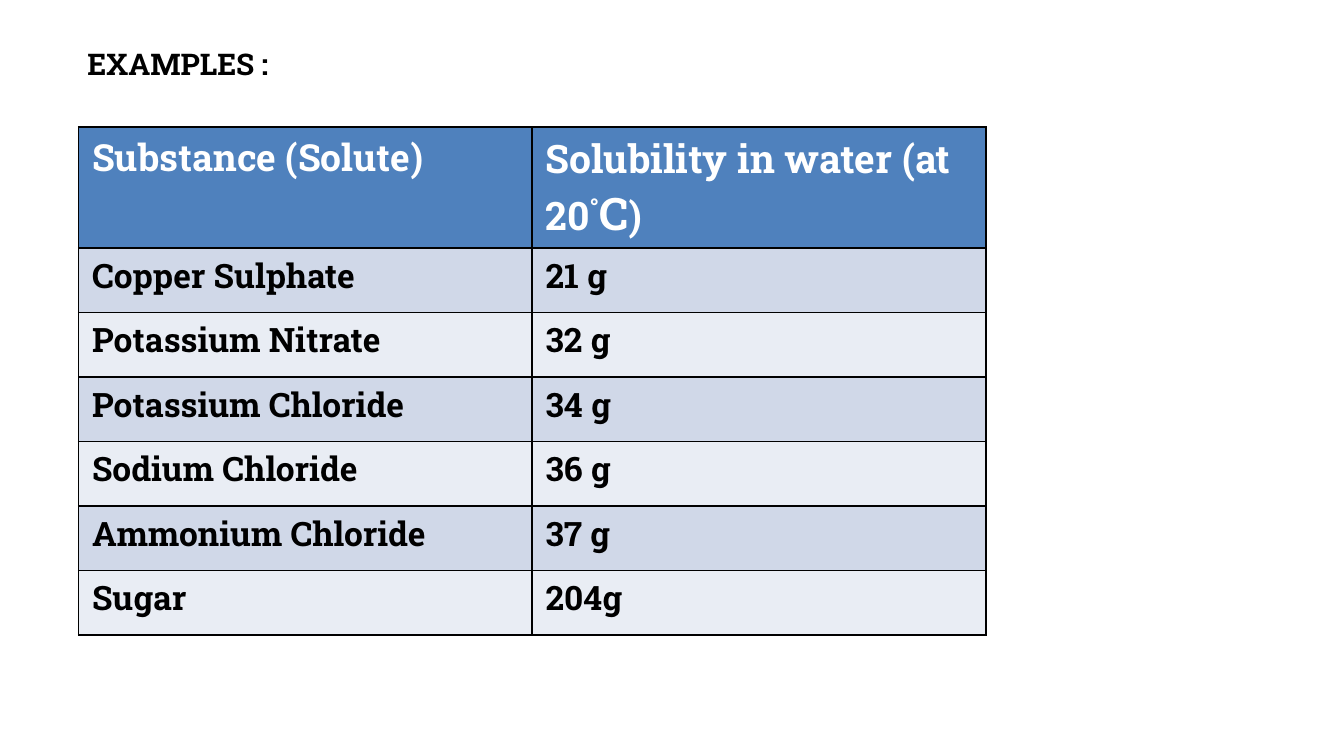
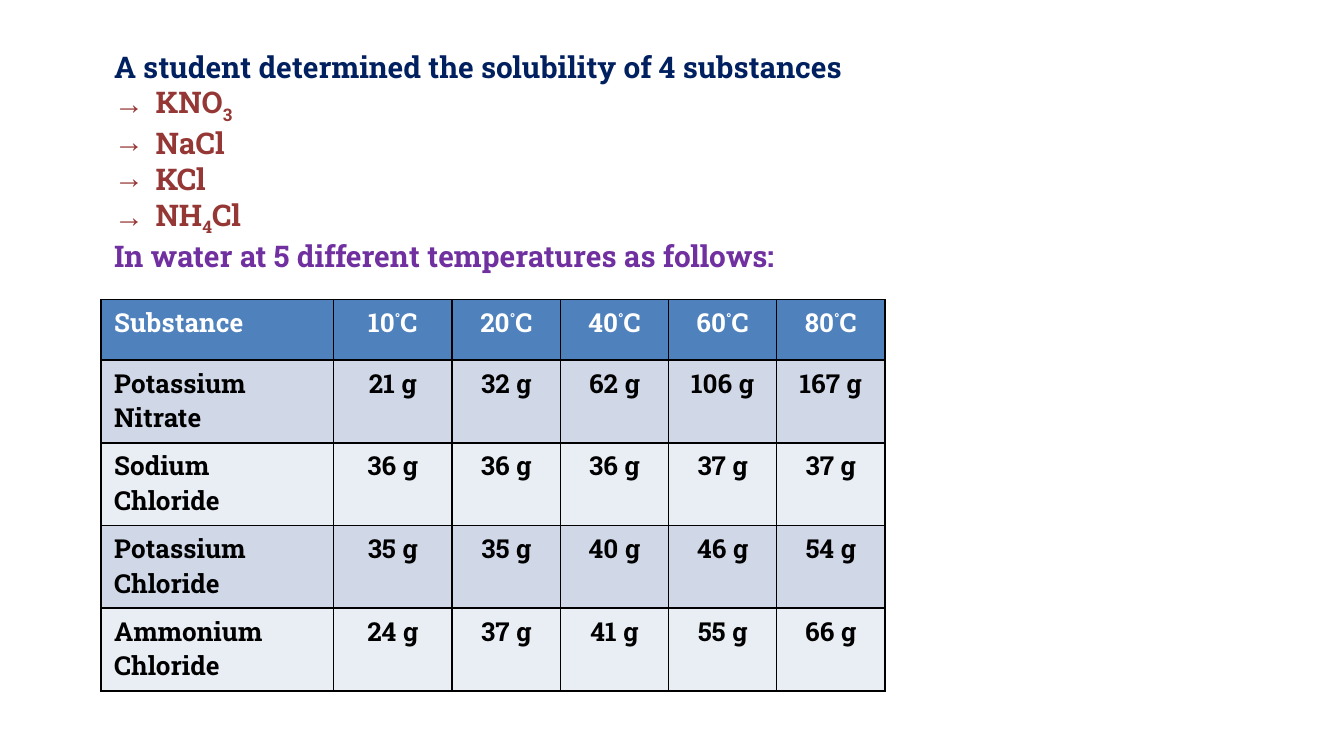
from dataclasses import dataclass
from typing import Optional, Sequence, Union

from lxml.etree import SubElement
from pptx import Presentation
from pptx.dml.color import RGBColor
from pptx.enum.text import MSO_ANCHOR, MSO_AUTO_SIZE, PP_ALIGN
from pptx.oxml.ns import qn
from pptx.util import Emu, Pt

EMU_PER_PX = 4572
TITLE_ONLY, BLANK = 5, 6


@dataclass(frozen=True)
class Theme:
    """Fonts, colours and type sizes shared by the slides."""
    font: str = "Roboto Slab"
    bullet_font: str = "Arial"
    black: str = "000000"
    white: str = "FFFFFF"
    header: str = "4F81BD"
    bands: tuple[str, str] = ("D0D8E8", "E9EDF4")
    navy: str = "002060"
    maroon: str = "953735"
    purple: str = "7030A0"
    heading_size: int = 16
    border_width: int = 1


THEME = Theme()


@dataclass(frozen=True)
class Run:
    """A piece of text with its own size or baseline shift in percent."""
    text: str
    size: Optional[int] = None
    baseline: int = 0


Text = Union[str, Sequence[Run]]


@dataclass(frozen=True)
class Line:
    """One paragraph of the introduction."""
    text: Text
    color: str
    bullet: Optional[str] = None


@dataclass(frozen=True)
class TableSpec:
    """Place, grid, type sizes and content of a table."""
    left: int
    top: int
    columns: Sequence[int]
    header_height: int
    row_height: int
    header: Sequence[Text]
    rows: Sequence[Sequence[str]]
    header_size: int
    body_size: int
    value_align: PP_ALIGN = PP_ALIGN.LEFT


def px(length: int) -> Emu:
    """Turn px into EMU."""
    return Emu(length * EMU_PER_PX)


def celsius(degrees: int) -> list[Run]:
    """Return a temperature with a raised degree sign."""
    return [Run(str(degrees)), Run("°", baseline=30), Run("C")]


def add_bullet(paragraph, character: str, indent: int) -> None:
    """Give a paragraph a hanging bullet."""
    properties = paragraph._p.get_or_add_pPr()
    properties.set("marL", str(px(indent)))
    properties.set("indent", str(px(-indent)))
    SubElement(properties, qn("a:buFont")).set("typeface", THEME.bullet_font)
    SubElement(properties, qn("a:buChar")).set("char", character)


def write_text(paragraph, text: Text, *, size: int, color: str,
               align: PP_ALIGN = PP_ALIGN.LEFT,
               bullet: Optional[str] = None) -> None:
    """Fill a paragraph with bold formatted runs."""
    if bullet:
        add_bullet(paragraph, bullet, 62)
    paragraph.alignment = align
    for piece in [Run(text)] if isinstance(text, str) else text:
        run = paragraph.add_run()
        run.text = piece.text
        run.font.name = THEME.font
        run.font.size = Pt(piece.size or size)
        run.font.bold = True
        run.font.color.rgb = RGBColor.from_string(color)
        if piece.baseline:
            run._r.get_or_add_rPr().set("baseline", str(piece.baseline * 1000))


def add_borders(cell) -> None:
    """Draw a solid line on each side of a cell."""
    properties = cell._tc.get_or_add_tcPr()
    for side in ("lnL", "lnR", "lnT", "lnB"):
        line = SubElement(properties, qn(f"a:{side}"))
        line.set("w", str(Pt(THEME.border_width)))
        fill = SubElement(line, qn("a:solidFill"))
        SubElement(fill, qn("a:srgbClr")).set("val", THEME.black)


def format_cell(cell, fill: str) -> None:
    """Set margins, borders and fill of a cell."""
    cell.margin_left = cell.margin_right = px(20)
    cell.margin_top = cell.margin_bottom = px(8)
    add_borders(cell)
    cell.fill.solid()
    cell.fill.fore_color.rgb = RGBColor.from_string(fill)


def add_table(slide, spec: TableSpec) -> None:
    """Draw a table with a header and two alternating row fills."""
    content = [spec.header, *spec.rows]
    heights = [spec.header_height] + [spec.row_height] * len(spec.rows)
    table = slide.shapes.add_table(
        len(content), len(spec.columns), px(spec.left), px(spec.top),
        px(sum(spec.columns)), px(sum(heights))).table
    for column, width in zip(table.columns, spec.columns):
        column.width = px(width)
    for row_index, (texts, height) in enumerate(zip(content, heights)):
        is_header = row_index == 0
        table.rows[row_index].height = px(height)
        fill = THEME.header if is_header else THEME.bands[(row_index - 1) % 2]
        for column_index, text in enumerate(texts):
            cell = table.cell(row_index, column_index)
            format_cell(cell, fill)
            write_text(cell.text_frame.paragraphs[0], text,
                       size=spec.header_size if is_header else spec.body_size,
                       color=THEME.white if is_header else THEME.black,
                       align=spec.value_align if column_index else PP_ALIGN.LEFT)


def add_title(slide, text: str, left: int, top: int, width: int, height: int) -> None:
    """Move the title placeholder and write the title."""
    title = slide.shapes.title
    title.left, title.top, title.width, title.height = map(px, (left, top, width, height))
    title.text_frame.vertical_anchor = MSO_ANCHOR.TOP
    title.text_frame.auto_size = MSO_AUTO_SIZE.SHAPE_TO_FIT_TEXT
    write_text(title.text_frame.paragraphs[0], text,
               size=THEME.heading_size, color=THEME.black)


def add_lines(slide, lines: Sequence[Line], left: int, top: int,
              width: int, height: int) -> None:
    """Write paragraphs in one text box."""
    frame = slide.shapes.add_textbox(*map(px, (left, top, width, height))).text_frame
    frame.word_wrap = True
    frame.auto_size = MSO_AUTO_SIZE.SHAPE_TO_FIT_TEXT
    for index, line in enumerate(lines):
        paragraph = frame.add_paragraph() if index else frame.paragraphs[0]
        write_text(paragraph, line.text, size=THEME.heading_size,
                   color=line.color, bullet=line.bullet)


SOLUBILITY = TableSpec(
    left=117, top=189, columns=[675] * 2, header_height=180, row_height=96,
    header=["Substance (Solute)",
            [Run("Solubility in water (at 20", 21), Run("°", 24, 30),
             Run("C", 24), Run(")", 21)]],
    rows=[("Copper Sulphate", "21 g"),
          ("Potassium Nitrate", "32 g"),
          ("Potassium Chloride", "34 g"),
          ("Sodium Chloride", "36 g"),
          ("Ammonium Chloride", "37 g"),
          ("Sugar", "204g")],
    header_size=20, body_size=18)

MEASUREMENTS = {
    "Potassium Nitrate": (21, 32, 62, 106, 167),
    "Sodium Chloride": (36, 36, 36, 37, 37),
    "Potassium Chloride": (35, 35, 40, 46, 54),
    "Ammonium Chloride": (24, 37, 41, 55, 66),
}

TEMPERATURES = TableSpec(
    left=150, top=446, columns=[346, 177] + [161] * 4, header_height=90, row_height=123,
    header=["Substance", *map(celsius, (10, 20, 40, 60, 80))],
    rows=[[name, *(f"{grams} g" for grams in masses)]
          for name, masses in MEASUREMENTS.items()],
    header_size=14, body_size=14, value_align=PP_ALIGN.CENTER)

FORMULAS: list[Text] = [
    [Run("KNO"), Run("3", baseline=-25)],
    "NaCl",
    "KCl",
    [Run("NH"), Run("4", baseline=-25), Run("Cl")],
]

INTRODUCTION = [
    Line("A student determined the solubility of 4 substances", THEME.navy),
    *(Line(formula, THEME.maroon, "→") for formula in FORMULAS),
    Line("In water at 5 different temperatures as follows:", THEME.purple),
]


def main() -> None:
    """Build and save the two slides."""
    presentation = Presentation()
    presentation.slide_width, presentation.slide_height = px(2000), px(1125)
    layouts = presentation.slide_layouts

    examples = presentation.slides.add_slide(layouts[TITLE_ONLY])
    add_table(examples, SOLUBILITY)
    add_title(examples, "EXAMPLES :", 110, 58, 434, 80)

    experiment = presentation.slides.add_slide(layouts[BLANK])
    add_table(experiment, TEMPERATURES)
    add_lines(experiment, INTRODUCTION, 150, 62, 1650, 344)

    presentation.save("out.pptx")


if __name__ == "__main__":
    main()
